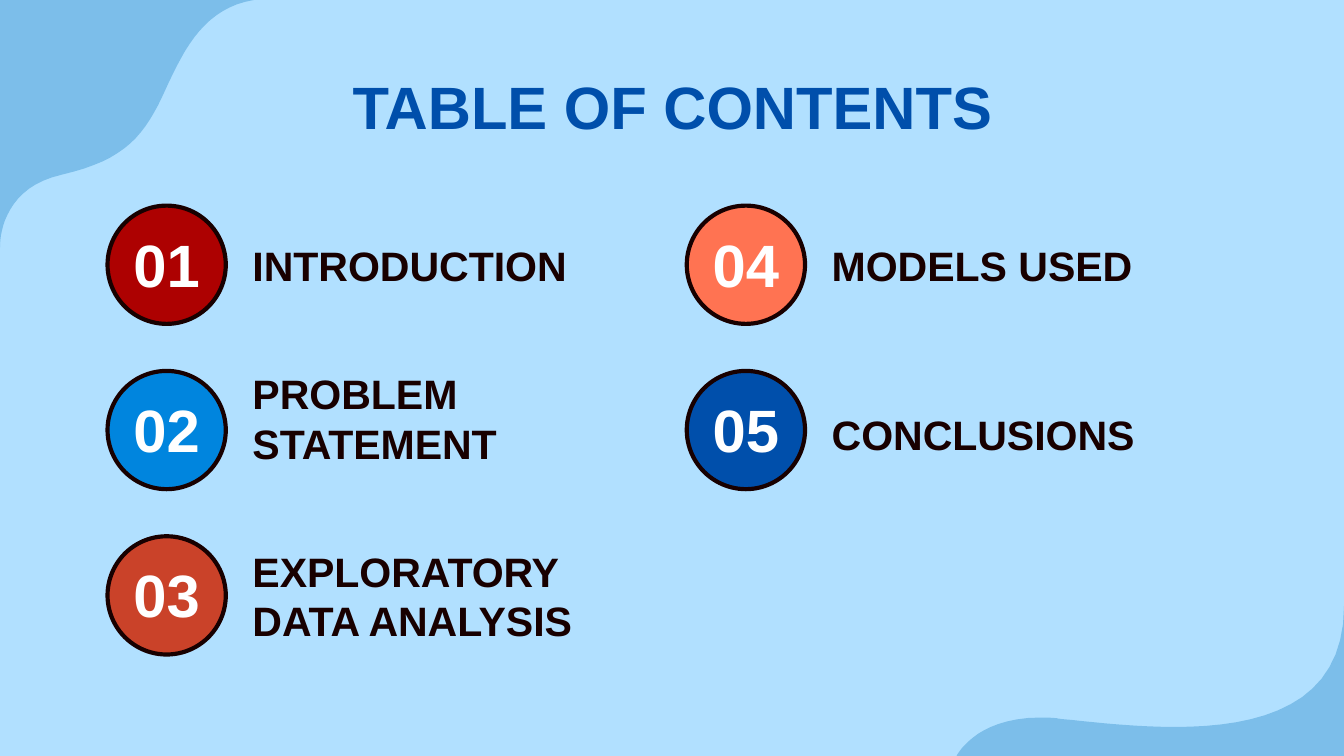
import pptx
import pptx.dml.color
import pptx.enum.shapes
import pptx.enum.text
import pptx.util

Inches = pptx.util.Inches
Anchor = pptx.enum.text.MSO_ANCHOR
Align = pptx.enum.text.PP_ALIGN

INK, NAVY, WHITE, SKY, WAVE = "180000", "004FAB", "FFFFFF", "B1E0FF", "7CBEEA"
ROWS = 3
CIRCLE = 0.88
COLUMN_STEP, ROW_STEP = 4.31, 1.23
UNITS = 1000  # freeform units to the inch

# Label, circle colour, label height, shift of the label from the circle's middle
ENTRIES = [
    ("INTRODUCTION", "AD0101", 0.41, 0),
    ("PROBLEM STATEMENT", "0085DE", 0.88, -0.09),
    ("EXPLORATORY DATA ANALYSIS", "CA4229", 0.58, 0),
    ("MODELS USED", "FF7352", 0.41, 0),
    ("CONCLUSIONS", NAVY, 0.41, 0.03),
]

# Each wave: its start, then curves of two control points and an end, then corners
TOP_WAVE = (
    (0, 1.84),
    [((0, 1.72), (0.05, 1.39), (0.46, 1.3)),
     ((0.94, 1.19), (1.08, 1), (1.23, 0.67)),
     ((1.38, 0.34), (1.53, 0.06), (1.89, 0))],
    [(0, 0)],
)
BOTTOM_WAVE = (
    (10, 4.51),
    [((10, 5.26), (9.36, 5.41), (8.74, 5.41)),
     ((8.42, 5.41), (8.11, 5.37), (7.89, 5.35)),
     ((7.84, 5.34), (7.79, 5.34), (7.74, 5.34)),
     ((7.24, 5.34), (7.11, 5.64), (7.11, 5.64))],
    [(10, 5.64)],
)


def color(value):
    return pptx.dml.color.RGBColor.from_string(value)


def bezier(start, first, second, end, steps=16):
    """Points along a cubic curve, without its start."""
    points = []
    for step in range(1, steps + 1):
        t = step / steps
        weights = ((1 - t) ** 3, 3 * t * (1 - t) ** 2, 3 * t * t * (1 - t), t ** 3)
        points.append(tuple(
            sum(weight * value for weight, value in zip(weights, values))
            for values in zip(start, first, second, end)))
    return points


def add_wave(page, start, curves, corners):
    points = [start]
    for curve in curves:
        points += bezier(points[-1], *curve)
    outline = [(x * UNITS, y * UNITS) for x, y in points + corners]
    builder = page.shapes.build_freeform(*outline[0], scale=Inches(1) / UNITS)
    builder.add_line_segments(outline[1:], close=True)
    wave = builder.convert_to_shape()
    wave.shadow.inherit = False
    wave.fill.solid()
    wave.fill.fore_color.rgb = color(WAVE)
    wave.line.fill.background()


def write(box, text, size, ink, align, anchor=Anchor.MIDDLE, inset_top=0.1):
    frame = box.text_frame
    frame.text = text
    frame.word_wrap = True
    frame.auto_size = pptx.enum.text.MSO_AUTO_SIZE.NONE
    frame.vertical_anchor = anchor
    frame.margin_left = frame.margin_right = frame.margin_bottom = Inches(0.1)
    frame.margin_top = Inches(inset_top)
    para = frame.paragraphs[0]
    para.alignment = align
    font = para.runs[0].font
    font.name, font.size, font.bold = "Arial", pptx.util.Pt(size), True
    font.color.rgb = color(ink)


def add_title(page, left, top, width, height):
    title = page.shapes.title
    title.left, title.top = Inches(left), Inches(top)
    title.width, title.height = Inches(width), Inches(height)
    write(title, "TABLE OF CONTENTS", 32, NAVY, Align.CENTER, Anchor.TOP)


def add_entry(page, left, top, number, label, fill, label_height, shift):
    """A numbered circle with its label to the right."""
    circle = page.shapes.add_shape(
        pptx.enum.shapes.MSO_SHAPE.OVAL,
        Inches(left), Inches(top), Inches(CIRCLE), Inches(CIRCLE))
    circle.shadow.inherit = False
    circle.fill.solid()
    circle.fill.fore_color.rgb = color(fill)
    circle.line.color.rgb = color(INK)
    circle.line.width = pptx.util.Pt(2.25)

    middle = top + CIRCLE / 2

    def add_text(offset, center, width, height):
        return page.shapes.add_textbox(
            Inches(left + offset), Inches(center - height / 2),
            Inches(width), Inches(height))

    write(add_text(0.02, middle, 0.84, 0.58),
          f"{number:02}", 32, WHITE, Align.CENTER, inset_top=0.08)
    write(add_text(0.98, middle + shift, 3.11, label_height),
          label, 22, INK, Align.LEFT)


def add_contents(page, left, top):
    for index, entry in enumerate(ENTRIES):
        column, row = divmod(index, ROWS)
        add_entry(page, left + column * COLUMN_STEP, top + row * ROW_STEP,
                  index + 1, *entry)


def main():
    deck = pptx.Presentation()
    deck.slide_width = Inches(10)
    deck.slide_height = deck.slide_width * 9 // 16
    page = deck.slides.add_slide(deck.slide_layouts.get_by_name("Title Only"))
    page.background.fill.solid()
    page.background.fill.fore_color.rgb = color(SKY)
    add_wave(page, *TOP_WAVE)
    add_wave(page, *BOTTOM_WAVE)
    add_title(page, 0.79, 0.42, 8.43, 0.65)
    add_contents(page, 0.8, 1.53)
    deck.save("out.pptx")


if __name__ == "__main__":
    main()
